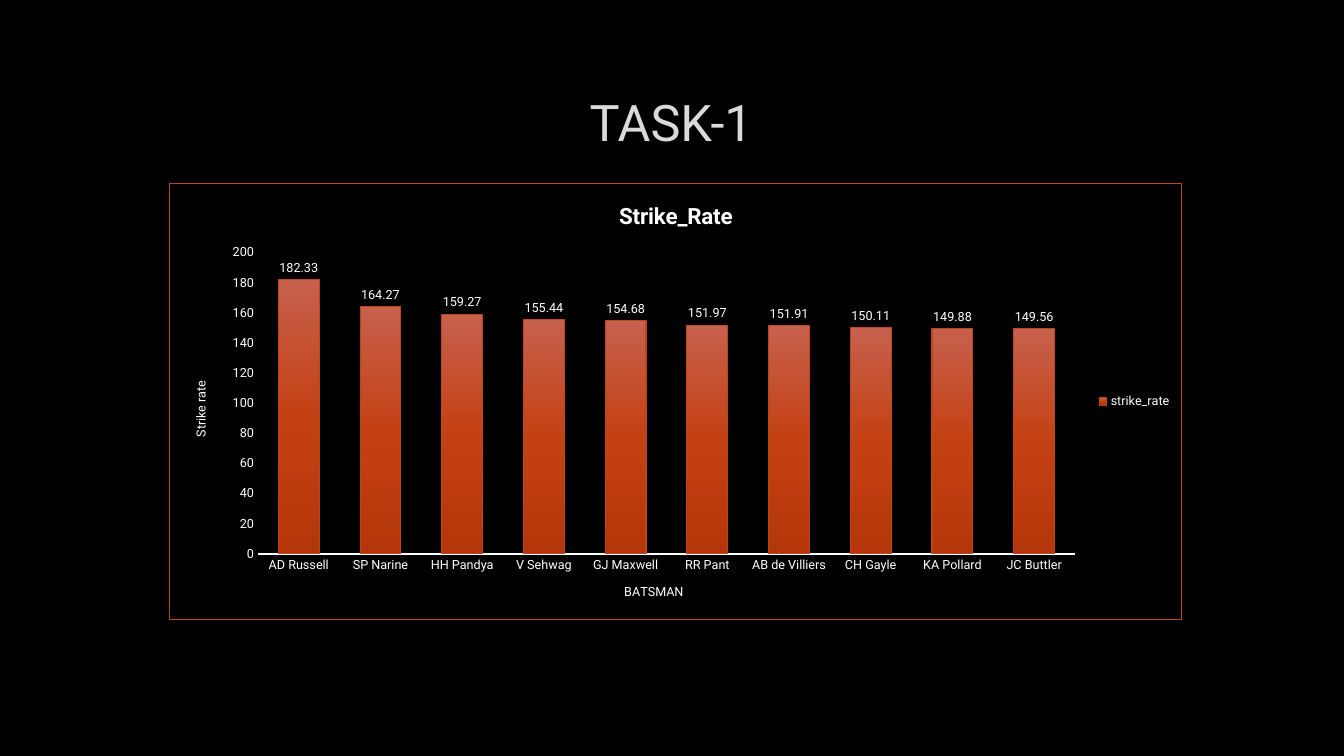
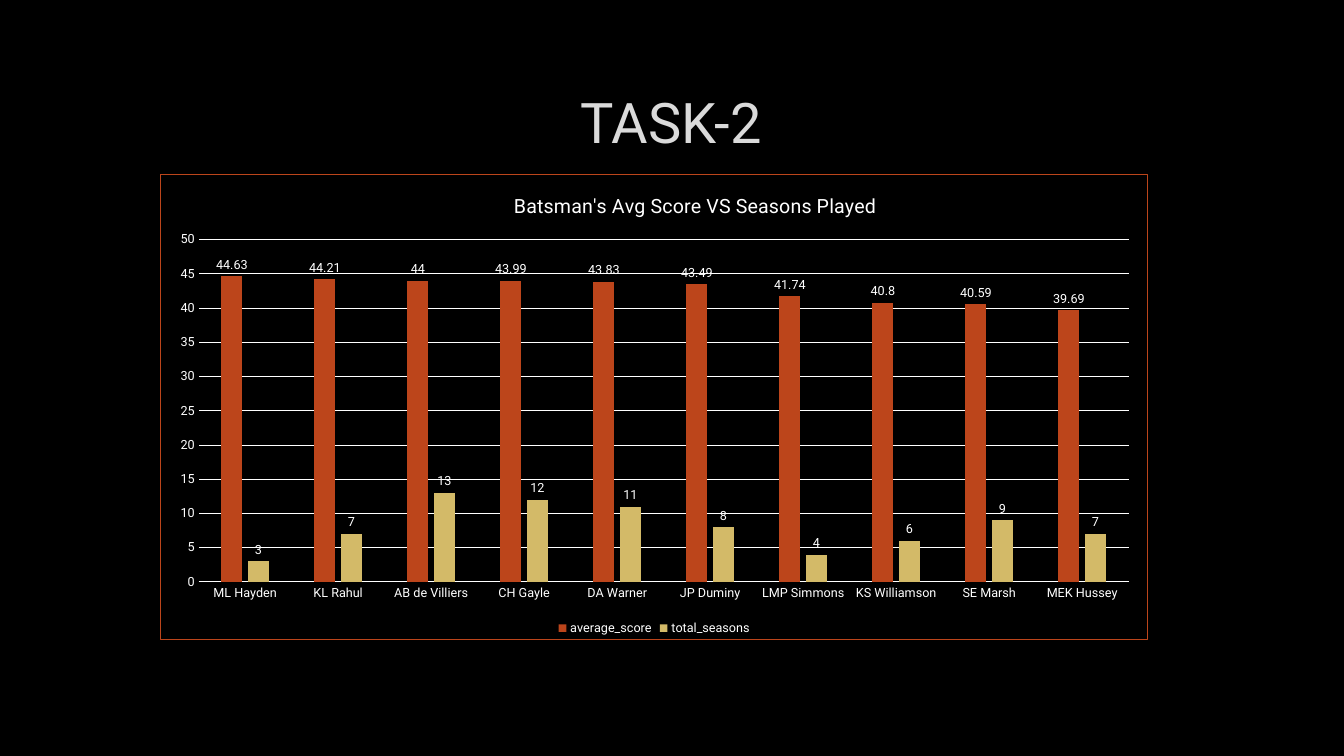
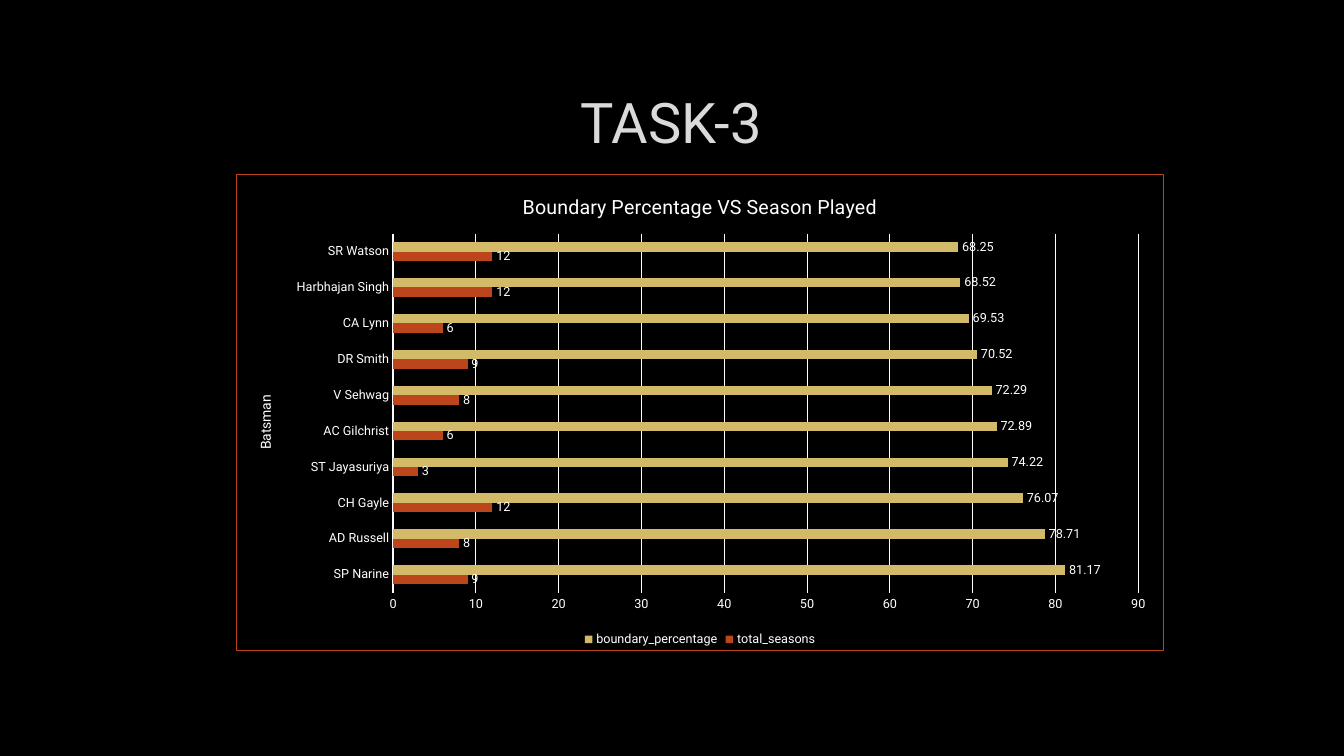
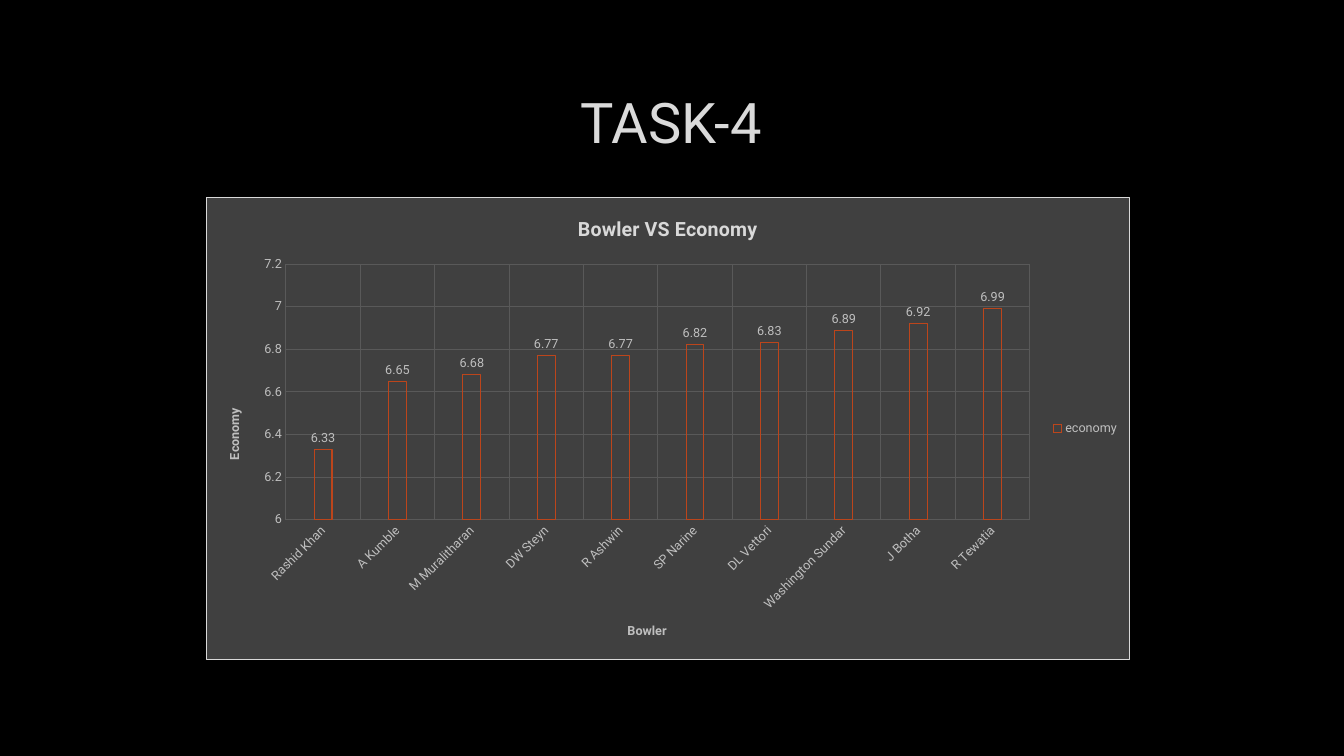
from lxml import etree
from pptx import Presentation
from pptx.chart.data import CategoryChartData
from pptx.dml.color import RGBColor
from pptx.enum.chart import XL_CHART_TYPE, XL_LABEL_POSITION, XL_LEGEND_POSITION, XL_TICK_MARK
from pptx.enum.text import MSO_ANCHOR, PP_ALIGN
from pptx.oxml import parse_xml
from pptx.oxml.ns import nsdecls, qn
from pptx.util import Pt

COLUMN = XL_CHART_TYPE.COLUMN_CLUSTERED
BAR = XL_CHART_TYPE.BAR_CLUSTERED
RIGHT = XL_LEGEND_POSITION.RIGHT
BOTTOM = XL_LEGEND_POSITION.BOTTOM
OUTSIDE_END = XL_LABEL_POSITION.OUTSIDE_END
NO_TICK = XL_TICK_MARK.NONE
MIDDLE = MSO_ANCHOR.MIDDLE
CENTER = PP_ALIGN.CENTER

FONT = "Roboto"
COLORS = {
    "black": "000000", "white": "FFFFFF", "heading": "DADADA", "rust": "BC451B",
    "gold": "D3BA68", "panel": "404040", "grid": "595959", "silver": "BFBFBF",
    "frame": "D9D9D9", "bar_top": "C7604D", "bar_middle": "C44113", "bar_bottom": "B5360A",
}
BAR_GRADIENT = [(0, "bar_top"), (50, "bar_middle"), (100, "bar_bottom")]
HEADING_BOX = (72, 48.2, 815, 76.3)
DEFAULTS = {
    "type": COLUMN, "heading_size": 40, "title_size": 14, "title_bold": False,
    "title_color": "white", "title_at": None, "text": "white", "axis_titles": (None, None),
    "axis_title_size": 9, "axis_title_bold": False, "axis_line": 0.75, "grid": "white",
    "category_grid": False, "legend": BOTTOM, "overlap": 0, "panel": None,
    "border": "rust", "label_angle": None,
}
SLIDES = [
    {
        "heading": "TASK-1", "heading_size": 36, "title": "Strike_Rate",
        "title_size": 16, "title_bold": True,
        "box": (121, 131, 723.6, 311.8), "plot": (62.9, 49.3, 584.3, 215.7),
        "axis_titles": ("BATSMAN", "Strike rate"), "axis_line": 1, "grid": None,
        "scale": (0, 200, 20), "legend": RIGHT, "gap": 100, "overlap": -24,
        "categories": ["AD Russell", "SP Narine", "HH Pandya", "V Sehwag", "GJ Maxwell",
                       "RR Pant", "AB de Villiers", "CH Gayle", "KA Pollard", "JC Buttler"],
        "series": [
            ("strike_rate", "gradient", "rust",
             [182.33, 164.27, 159.27, 155.44, 154.68, 151.97, 151.91, 150.11, 149.88, 149.56]),
        ],
    },
    {
        "heading": "TASK-2", "title": "Batsman's Avg Score VS Seasons Played",
        "title_at": (250, 10),
        "box": (114.5, 124.6, 705.6, 332.6), "plot": (27.1, 46.4, 665, 245),
        "scale": (0, 50, 5), "gap": 219, "overlap": -27,
        "categories": ["ML Hayden", "KL Rahul", "AB de Villiers", "CH Gayle", "DA Warner",
                       "JP Duminy", "LMP Simmons", "KS Williamson", "SE Marsh", "MEK Hussey"],
        "series": [
            ("average_score", "rust", None,
             [44.63, 44.21, 44, 43.99, 43.83, 43.49, 41.74, 40.8, 40.59, 39.69]),
            ("total_seasons", "gold", None, [3, 7, 13, 12, 11, 8, 4, 6, 9, 7]),
        ],
    },
    {
        "heading": "TASK-3", "title": "Boundary Percentage VS Season Played", "type": BAR,
        "box": (168.5, 124.6, 663.1, 340.6), "plot": (112, 42, 533, 257),
        "axis_titles": ("Batsman", None), "axis_title_size": 10,
        "scale": (0, 90, 10), "gap": 182,
        "categories": ["SP Narine", "AD Russell", "CH Gayle", "ST Jayasuriya", "AC Gilchrist",
                       "V Sehwag", "DR Smith", "CA Lynn", "Harbhajan Singh", "SR Watson"],
        "series": [
            ("total_seasons", "rust", None, [9, 8, 12, 3, 6, 8, 9, 6, 12, 12]),
            ("boundary_percentage", "gold", None,
             [81.17, 78.71, 76.07, 74.22, 72.89, 72.29, 70.52, 69.53, 68.52, 68.25]),
        ],
    },
    {
        "heading": "TASK-4", "title": "Bowler VS Economy", "title_bold": True,
        "title_color": "frame", "text": "silver",
        "box": (146.9, 140.4, 660.2, 331.2), "plot": (57, 48, 532, 183),
        "axis_titles": ("Bowler", "Economy"), "axis_title_bold": True, "axis_line": None,
        "grid": "grid", "category_grid": True, "label_angle": -45,
        "scale": (6, 7.2, 0.2), "legend": RIGHT, "gap": 315, "overlap": -40,
        "panel": "panel", "border": "frame",
        "categories": ["Rashid Khan", "A Kumble", "M Muralitharan", "DW Steyn", "R Ashwin",
                       "SP Narine", "DL Vettori", "Washington Sundar", "J Botha", "R Tewatia"],
        "series": [
            ("economy", None, "rust",
             [6.33, 6.65, 6.68, 6.77, 6.77, 6.82, 6.83, 6.89, 6.92, 6.99]),
        ],
    },
]


def rgb(name):
    return RGBColor.from_string(COLORS[name])


def style_font(font, size, color, bold=False):
    font.name = FONT
    font.size = Pt(size)
    font.bold = bold
    font.color.rgb = rgb(color)


def style_line(line, color, width=0.75):
    if color is None:
        line.fill.background()
    else:
        line.color.rgb = rgb(color)
        line.width = Pt(width)


def write(text_frame, text, size, color, bold=False):
    paragraph = text_frame.paragraphs[0]
    paragraph.alignment = CENTER
    run = paragraph.add_run()
    run.text = text
    style_font(run.font, size, color, bold)


def add_heading(slide, text, size):
    shape = slide.shapes.add_textbox(*map(Pt, HEADING_BOX))
    shape.text_frame.word_wrap = True
    shape.text_frame.vertical_anchor = MIDDLE
    write(shape.text_frame, text, size, "heading")


def set_layout(parent, index, box, position, target=None):
    for old in parent.findall(qn("c:layout")):
        parent.remove(old)
    layout = parse_xml(f'<c:layout {nsdecls("c")}><c:manualLayout/></c:layout>')
    settings = [("layoutTarget", target)] if target else []
    settings += [("xMode", "edge"), ("yMode", "edge")]
    settings += [(name, str(value / box[2 + i % 2]))
                 for i, (name, value) in enumerate(zip("xywh", position))]
    for name, value in settings:
        etree.SubElement(layout[0], qn(f"c:{name}")).set("val", value)
    parent.insert(index, layout)


def set_angle(element, degrees):
    body = element.find(f".//{qn('a:bodyPr')}")
    body.set("rot", str(degrees * 60000))
    body.set("vert", "horz")


def solid_fill(color):
    return f'<a:solidFill><a:srgbClr val="{COLORS[color]}"/></a:solidFill>'


def style_chart_area(chart, panel, border):
    fill = solid_fill(panel) if panel else "<a:noFill/>"
    properties = parse_xml(
        f'<c:spPr {nsdecls("c", "a")}>{fill}'
        f'<a:ln w="{Pt(0.75)}">{solid_fill(border)}</a:ln></c:spPr>')
    chart.element.find(qn("c:chart")).addnext(properties)


def fill_gradient(series):
    stops = "".join(f'<a:gs pos="{percent * 1000}"><a:srgbClr val="{COLORS[color]}"/></a:gs>'
                    for percent, color in BAR_GRADIENT)
    gradient = parse_xml(f'<a:gradFill {nsdecls("a")}><a:gsLst>{stops}</a:gsLst>'
                         '<a:lin ang="5400000" scaled="0"/></a:gradFill>')
    series.format.fill.background()
    properties = series.format.fill._xPr
    properties.replace(properties.find(qn("a:noFill")), gradient)


def style_series(series, fill, line, text_color):
    series.invert_if_negative = False
    if fill == "gradient":
        fill_gradient(series)
    elif fill:
        series.format.fill.solid()
        series.format.fill.fore_color.rgb = rgb(fill)
    else:
        series.format.fill.background()
    style_line(series.format.line, line)
    labels = series.data_labels
    labels.show_value = True
    labels.position = OUTSIDE_END
    style_font(labels.font, 9, text_color)


def style_axis(axis, title, vertical, grid, line_width, settings):
    axis.major_tick_mark = axis.minor_tick_mark = NO_TICK
    style_font(axis.tick_labels.font, 9, settings["text"])
    style_line(axis.format.line, "white" if line_width else None, line_width)
    axis.has_major_gridlines = bool(grid)
    if grid:
        style_line(axis.major_gridlines.format.line, grid)
    axis.has_title = bool(title)
    if title:
        write(axis.axis_title.text_frame, title, settings["axis_title_size"],
              settings["text"], settings["axis_title_bold"])
        set_angle(axis.axis_title._element, -90 if vertical else 0)


def add_task_chart(slide, settings):
    box = settings["box"]
    data = CategoryChartData()
    data.categories = settings["categories"]
    for name, _, _, values in settings["series"]:
        data.add_series(name, values)
    chart = slide.shapes.add_chart(settings["type"], *map(Pt, box), data).chart
    style_font(chart.font, 10, "white")
    style_chart_area(chart, settings["panel"], settings["border"])

    chart.has_title = True
    write(chart.chart_title.text_frame, settings["title"], settings["title_size"],
          settings["title_color"], settings["title_bold"])
    if settings["title_at"]:
        set_layout(chart.chart_title._element, 1, box, settings["title_at"])

    chart.has_legend = True
    chart.legend.position = settings["legend"]
    chart.legend.include_in_layout = False
    style_font(chart.legend.font, 9, settings["text"])

    plot = chart.plots[0]
    plot.vary_by_categories = False
    plot.gap_width = settings["gap"]
    plot.overlap = settings["overlap"]
    for series, (_, fill, line, _) in zip(plot.series, settings["series"]):
        style_series(series, fill, line, settings["text"])

    category_title, value_title = settings["axis_titles"]
    horizontal_bars = settings["type"] == BAR
    category_grid = settings["grid"] if settings["category_grid"] else None
    style_axis(chart.category_axis, category_title, horizontal_bars, category_grid,
               settings["axis_line"], settings)
    style_axis(chart.value_axis, value_title, not horizontal_bars, settings["grid"],
               None, settings)
    if settings["label_angle"]:
        set_angle(chart.category_axis._element.find(qn("c:txPr")), settings["label_angle"])
    axis = chart.value_axis
    axis.minimum_scale, axis.maximum_scale, axis.major_unit = settings["scale"]
    set_layout(chart.element.find(f".//{qn('c:plotArea')}"), 0, box, settings["plot"], "inner")


def main():
    presentation = Presentation()
    presentation.slide_width, presentation.slide_height = Pt(960), Pt(540)
    for content in SLIDES:
        settings = {**DEFAULTS, **content}
        slide = presentation.slides.add_slide(presentation.slide_layouts[6])
        slide.background.fill.solid()
        slide.background.fill.fore_color.rgb = rgb("black")
        add_heading(slide, settings["heading"], settings["heading_size"])
        add_task_chart(slide, settings)
    presentation.save("out.pptx")


if __name__ == "__main__":
    main()
